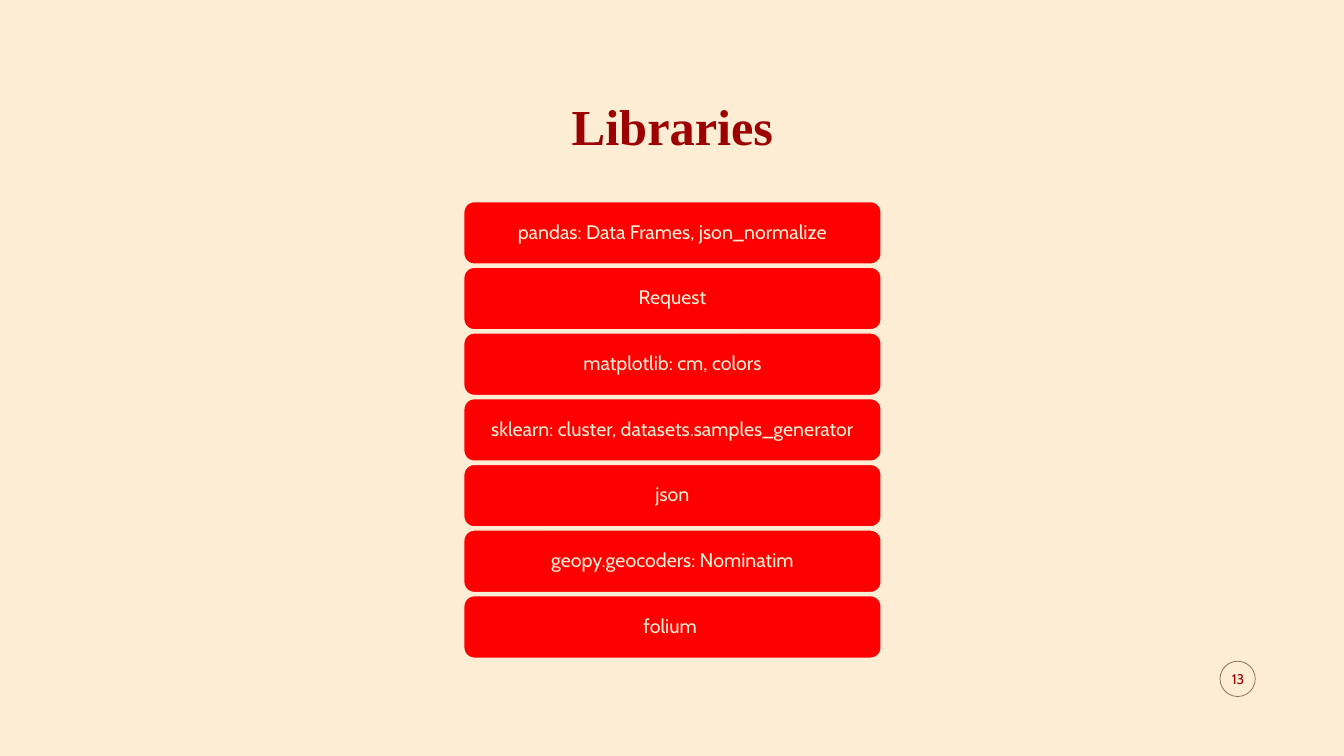
from dataclasses import dataclass

from pptx import Presentation
from pptx.dml.color import RGBColor
from pptx.enum.shapes import MSO_SHAPE
from pptx.enum.text import MSO_ANCHOR, PP_ALIGN
from pptx.util import Inches, Pt

ROUNDED = MSO_SHAPE.ROUNDED_RECTANGLE
OVAL = MSO_SHAPE.OVAL
MIDDLE = MSO_ANCHOR.MIDDLE
BOTTOM = MSO_ANCHOR.BOTTOM
CENTER = PP_ALIGN.CENTER


@dataclass(frozen=True)
class Theme:
    cream: RGBColor = RGBColor.from_string("FCEDD4")
    red: RGBColor = RGBColor.from_string("FF0000")
    dark_red: RGBColor = RGBColor.from_string("9D0000")
    brown: RGBColor = RGBColor.from_string("8D6347")
    heading_font: str = "Times New Roman"
    body_font: str = "Cabin"
    title_size: int = 36
    bar_size: int = 14
    number_size: int = 10


THEME = Theme()
LIBRARIES = [
    "pandas: Data Frames, json_normalize",
    "Request",
    "matplotlib: cm, colors",
    "sklearn: cluster, datasets.samples_generator",
    "json",
    "geopy.geocoders: Nominatim",
    "folium ",
]
FIRST_TOP = 2.0
LAST_TOP = 5.91


def write_text(box, text, font, size, color, bold=False, anchor=MIDDLE,
               line_spacing=1.0, space_after=0, insets=(0.1, 0.05)):
    frame = box.text_frame
    frame.word_wrap = True
    frame.vertical_anchor = anchor
    frame.margin_left = frame.margin_right = Inches(insets[0])
    frame.margin_top = frame.margin_bottom = Inches(insets[1])
    para = frame.paragraphs[0]
    para.alignment = CENTER
    para.line_spacing = line_spacing
    para.space_after = Pt(space_after)
    span = para.add_run()
    span.text = text
    span.font.name = font
    span.font.size = Pt(size)
    span.font.bold = bold
    span.font.color.rgb = color


def add_outlined_shape(page, kind, left, top, width, height, line, weight, fill=None):
    shape = page.shapes.add_shape(kind, Inches(left), Inches(top), Inches(width), Inches(height))
    shape.shadow.inherit = False
    if fill is None:
        shape.fill.background()
    else:
        shape.fill.solid()
        shape.fill.fore_color.rgb = fill
    shape.line.color.rgb = line
    shape.line.width = Pt(weight)
    return shape


def add_title(page, text):
    box = page.shapes.add_textbox(Inches(0.92), Inches(0.83), Inches(11.5), Inches(0.77))
    write_text(box, text, THEME.heading_font, THEME.title_size, THEME.dark_red,
               bold=True, anchor=BOTTOM, line_spacing=0.9)


def add_library_bars(page, names):
    pitch = (LAST_TOP - FIRST_TOP) / (len(names) - 1)
    for index, name in enumerate(names):
        bar = add_outlined_shape(page, ROUNDED, 4.6, FIRST_TOP + index * pitch, 4.14, 0.62,
                                 THEME.cream, 1, THEME.red)
        write_text(bar, name, THEME.body_font, THEME.bar_size, THEME.cream,
                   line_spacing=0.9, space_after=5, insets=(0.06, 0.06))


def add_page_number(page, number):
    add_outlined_shape(page, OVAL, 12.1, 6.56, 0.35, 0.35, THEME.brown, 0.5)
    box = page.shapes.add_textbox(Inches(12.08), Inches(6.54), Inches(0.4), Inches(0.4))
    write_text(box, number, THEME.body_font, THEME.number_size, THEME.dark_red,
               space_after=6, insets=(0, 0))


def main():
    deck = Presentation()
    deck.slide_width = Inches(13.33)
    deck.slide_height = Inches(7.5)
    page = deck.slides.add_slide(deck.slide_layouts[6])
    page.background.fill.solid()
    page.background.fill.fore_color.rgb = THEME.cream
    add_title(page, "Libraries")
    add_library_bars(page, LIBRARIES)
    add_page_number(page, "13")
    deck.save("out.pptx")


if __name__ == "__main__":
    main()
